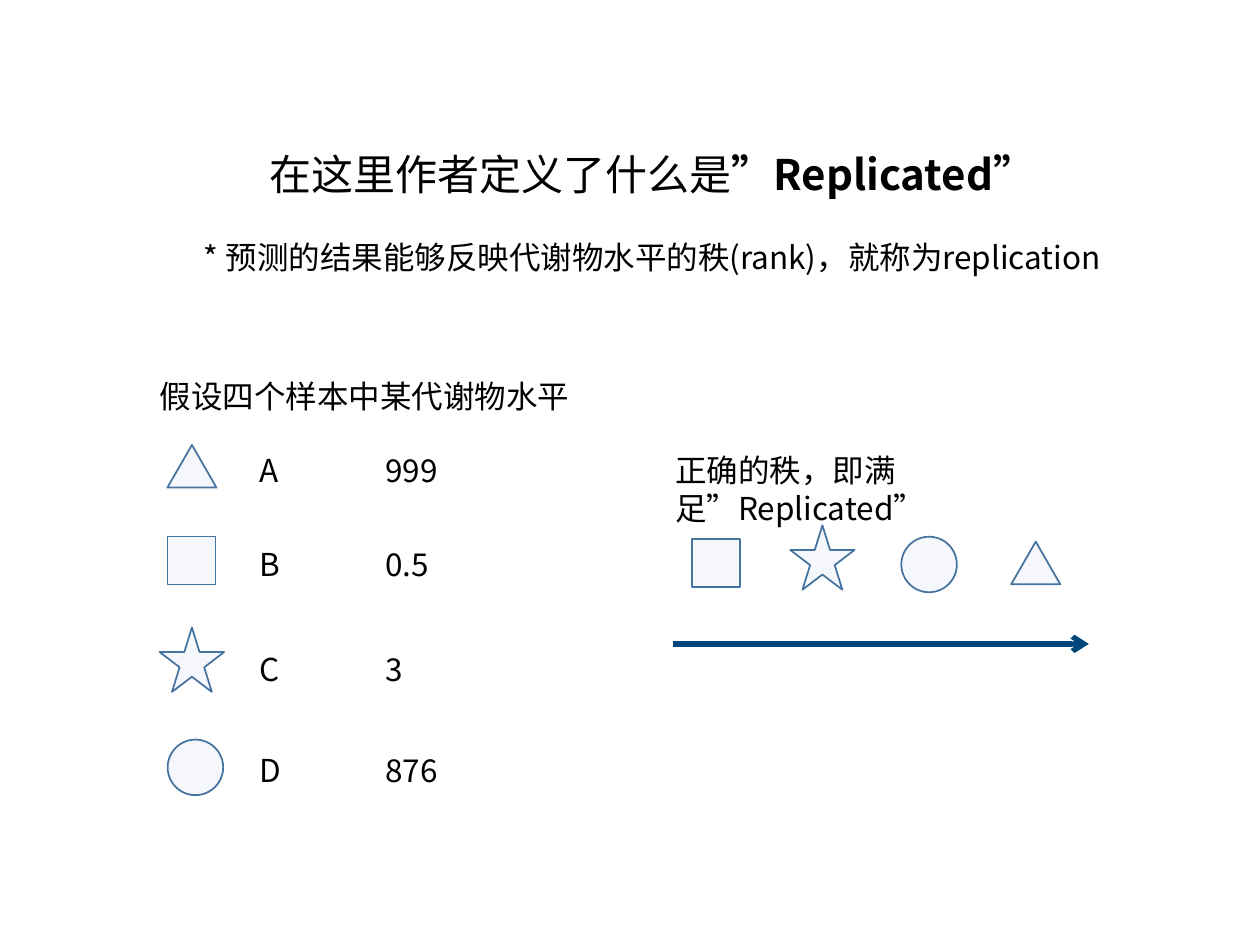
from lxml import etree
from pptx import Presentation
from pptx.dml.color import RGBColor
from pptx.enum.shapes import MSO_CONNECTOR, MSO_SHAPE
from pptx.enum.text import MSO_ANCHOR, MSO_AUTO_SIZE, PP_ALIGN
from pptx.oxml.ns import qn
from pptx.util import Cm, Pt

TRIANGLE = MSO_SHAPE.ISOSCELES_TRIANGLE
SQUARE = MSO_SHAPE.RECTANGLE
STAR = MSO_SHAPE.STAR_5_POINT
CIRCLE = MSO_SHAPE.OVAL
STRAIGHT = MSO_CONNECTOR.STRAIGHT
TOP = MSO_ANCHOR.TOP
CENTER = PP_ALIGN.CENTER
FIT_SHAPE = MSO_AUTO_SIZE.SHAPE_TO_FIT_TEXT

FONT = "Noto Sans CJK SC"
COLORS = {"text": "000000", "fill": "F6F7FC", "outline": "43739E", "arrow": "00467A"}
ICON_SIZES = {
    TRIANGLE: (0.99, 0.86),
    SQUARE: (0.97, 0.97),
    STAR: (1.3, 1.3),
    CIRCLE: (1.12, 1.12),
}
SAMPLES = [
    (TRIANGLE, 3.87, 9.4, "A\t999", 8.97),
    (SQUARE, 3.86, 11.3, "B\t0.5", 10.87),
    (STAR, 3.87, 13.3, "C\t3", 12.98),
    (CIRCLE, 3.94, 15.47, "D\t876", 15.01),
]
SAMPLE_LEFT, SAMPLE_WIDTH, VALUE_TAB = 4.98, 4.3, 2.54
RANKING = [(SQUARE, 11.35), (STAR, 11.24), (CIRCLE, 11.38), (TRIANGLE, 11.35)]
RANK_LEFT, RANK_STEP = 14.43, 2.15


def color(name):
    return RGBColor.from_string(COLORS[name])


def style_font(font, size, bold=False):
    font.name = FONT
    font.size = Pt(size)
    font.bold = bold
    font.color.rgb = color("text")
    etree.SubElement(font._rPr, qn("a:ea"), typeface=FONT)


def add_span(para, text, size, bold=False):
    span = para.add_run()
    span.text = text
    style_font(span.font, size, bold)


def fill_title(page):
    box = page.shapes.title
    box.left, box.top, box.width, box.height = Cm(3.56), Cm(2.87), Cm(19.18), Cm(2.82)
    frame = box.text_frame
    frame.word_wrap = True
    frame.vertical_anchor = TOP
    frame.auto_size = FIT_SHAPE
    heading = frame.paragraphs[0]
    add_span(heading, "在这里作者定义了什么是", 24)
    add_span(heading, "”Replicated”", 24, True)
    definition = frame.add_paragraph()
    definition.space_before = Pt(22)
    add_span(definition, "* 预测的结果能够反映代谢物水平的秩(rank)，就称为replication", 18)
    for para in frame.paragraphs:
        para.alignment = CENTER


def set_tab(para, position):
    tabs = etree.SubElement(para._p.get_or_add_pPr(), qn("a:tabLst"))
    etree.SubElement(tabs, qn("a:tab"), pos=str(Cm(position)), algn="l")


def add_label(page, text, left, top, width):
    box = page.shapes.add_textbox(Cm(left), Cm(top), Cm(width), Cm(1.02))
    frame = box.text_frame
    frame.word_wrap = True
    frame.auto_size = FIT_SHAPE
    para = frame.paragraphs[0]
    para.text = text
    if "\t" in text:
        set_tab(para, VALUE_TAB)
    style_font(para.font, 18)


def add_icon(page, kind, center_x, center_y):
    width, height = ICON_SIZES[kind]
    icon = page.shapes.add_shape(
        kind, Cm(center_x - width / 2), Cm(center_y - height / 2), Cm(width), Cm(height)
    )
    icon.shadow.inherit = False
    icon.fill.solid()
    icon.fill.fore_color.rgb = color("fill")
    icon.line.color.rgb = color("outline")
    icon.line.width = Pt(1)


def add_arrow(page, left, right, y):
    arrow = page.shapes.add_connector(STRAIGHT, Cm(left), Cm(y), Cm(right), Cm(y))
    arrow.line.color.rgb = color("arrow")
    arrow.line.width = Pt(3)
    etree.SubElement(arrow.line._get_or_add_ln(), qn("a:tailEnd"), type="arrow")
    etree.SubElement(arrow._element.spPr, qn("a:effectLst"))


def main():
    deck = Presentation()
    deck.slide_width, deck.slide_height = Cm(25.4), Cm(19.05)
    page = deck.slides.add_slide(deck.slide_layouts[5])
    fill_title(page)

    add_label(page, "假设四个样本中某代谢物水平", 2.97, 7.47, 8.84)
    for kind, center_x, center_y, text, top in SAMPLES:
        add_icon(page, kind, center_x, center_y)
        add_label(page, text, SAMPLE_LEFT, top, SAMPLE_WIDTH)

    add_label(page, "正确的秩，即满足”Replicated”", 13.36, 8.97, 8.97)
    for index, (kind, center_y) in enumerate(RANKING):
        add_icon(page, kind, RANK_LEFT + index * RANK_STEP, center_y)
    add_arrow(page, 13.56, 21.95, 12.98)

    deck.save("out.pptx")


if __name__ == "__main__":
    main()
